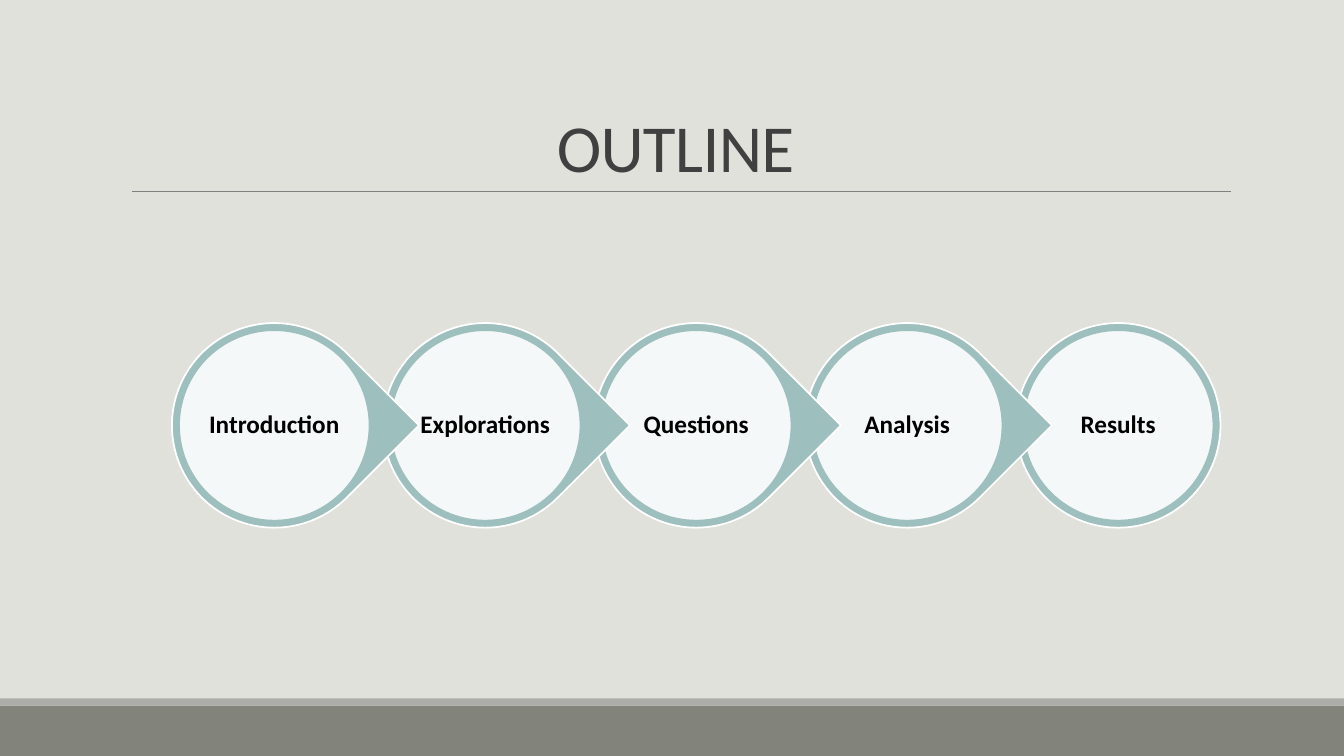
from lxml import etree
from pptx import Presentation
from pptx.dml.color import RGBColor
from pptx.enum.shapes import MSO_CONNECTOR, MSO_SHAPE as Shape
from pptx.enum.text import MSO_ANCHOR as Anchor, PP_ALIGN as Align
from pptx.oxml.ns import qn
from pptx.util import Inches, Pt

# Content
TITLE = "OUTLINE"
STEPS = ["Introduction", "Explorations", "Questions", "Analysis", "Results"]

COLORS = {
    "background": "E1E1DB", "footer": "82847C", "stripe": "ACADA8",
    "rule": "808080", "title": "404040", "ring": "9DBFBE",
    "white": "FFFFFF", "label": "000000",
}
FONT = "Calibri"

# Layout in inches
WIDTH, HEIGHT = 13.33, 7.5
FOOTER_HEIGHT, STRIPE_HEIGHT = 0.5, 0.07
FIRST_CENTER, LAST_CENTER = 2.72, 11.09
STEP_PITCH = (LAST_CENTER - FIRST_CENTER) / (len(STEPS) - 1)
RING_SIZE, RING_CENTER = 2.03, 4.22
DISC_SIZE, LABEL_SIZE, LABEL_INSET = 1.89, 1.35, 0.01


def rgb(name):
    return RGBColor.from_string(COLORS[name])


def centered(center_x, center_y, size):
    return [Inches(value) for value in
            (center_x - size / 2, center_y - size / 2, size, size)]


def add_filled(shapes, kind, box, fill, line=None):
    shape = shapes.add_shape(kind, *box)
    shape.shadow.inherit = False
    shape.fill.solid()
    shape.fill.fore_color.rgb = rgb(fill)
    if line:
        shape.line.color.rgb = rgb(line)
        shape.line.width = Pt(1.25)
    else:
        shape.line.fill.background()
    return shape


def set_opacity(shape, percent):
    color = shape._element.spPr.find(qn("a:solidFill"))[0]
    etree.SubElement(color, qn("a:alpha")).set("val", str(percent * 1000))


def write(text_frame, text, size, color, anchor, line_spacing):
    text_frame.text = text
    text_frame.word_wrap = True
    text_frame.vertical_anchor = anchor
    paragraph = text_frame.paragraphs[0]
    paragraph.alignment = Align.CENTER
    paragraph.line_spacing = line_spacing
    font = paragraph.runs[0].font
    font.name, font.size, font.color.rgb = FONT, Pt(size), rgb(color)
    return font


presentation = Presentation()
presentation.slide_width, presentation.slide_height = Inches(WIDTH), Inches(HEIGHT)
slide = presentation.slides.add_slide(presentation.slide_layouts[5])
slide.background.fill.solid()
slide.background.fill.fore_color.rgb = rgb("background")

# Footer bands
footer_top = HEIGHT - FOOTER_HEIGHT
for top, height, color in [(footer_top, FOOTER_HEIGHT, "footer"),
                           (footer_top - STRIPE_HEIGHT, STRIPE_HEIGHT, "stripe")]:
    box = [Inches(value) for value in (0, top, WIDTH, height)]
    add_filled(slide.shapes, Shape.RECTANGLE, box, color)

# Title and the rule below it
title = slide.shapes.title
title.left, title.top, title.width, title.height = map(Inches, (1.2, 0.31, 11, 1.59))
title_font = write(title.text_frame, TITLE, 48, "title", Anchor.BOTTOM, 0.85)
title_font._element.set("spc", "-50")

rule = slide.shapes.add_connector(
    MSO_CONNECTOR.STRAIGHT, *map(Inches, (1.31, 1.9, 12.21, 1.9)))
rule.line.color.rgb = rgb("rule")
rule.line.width = Pt(0.5)
etree.SubElement(rule._element.spPr, qn("a:effectLst"))

# Steps, last one first so that each point overlaps the next ring
chain = slide.shapes.add_group_shape().shapes
for index, step in reversed(list(enumerate(STEPS))):
    center = FIRST_CENTER + index * STEP_PITCH
    is_last = index == len(STEPS) - 1
    ring = add_filled(chain, Shape.OVAL if is_last else Shape.TEAR,
                      centered(center, RING_CENTER, RING_SIZE), "ring", "white")
    ring.rotation = 0 if is_last else 45
    disc = add_filled(chain, Shape.OVAL,
                      centered(center, RING_CENTER, DISC_SIZE), "white", "ring")
    set_opacity(disc, 90)

    label = chain.add_textbox(*centered(center, RING_CENTER, LABEL_SIZE)).text_frame
    label.margin_left = label.margin_right = Inches(LABEL_INSET)
    label.margin_top = label.margin_bottom = Inches(LABEL_INSET)
    write(label, step, 18, "label", Anchor.MIDDLE, 0.9).bold = True

presentation.save("out.pptx")
